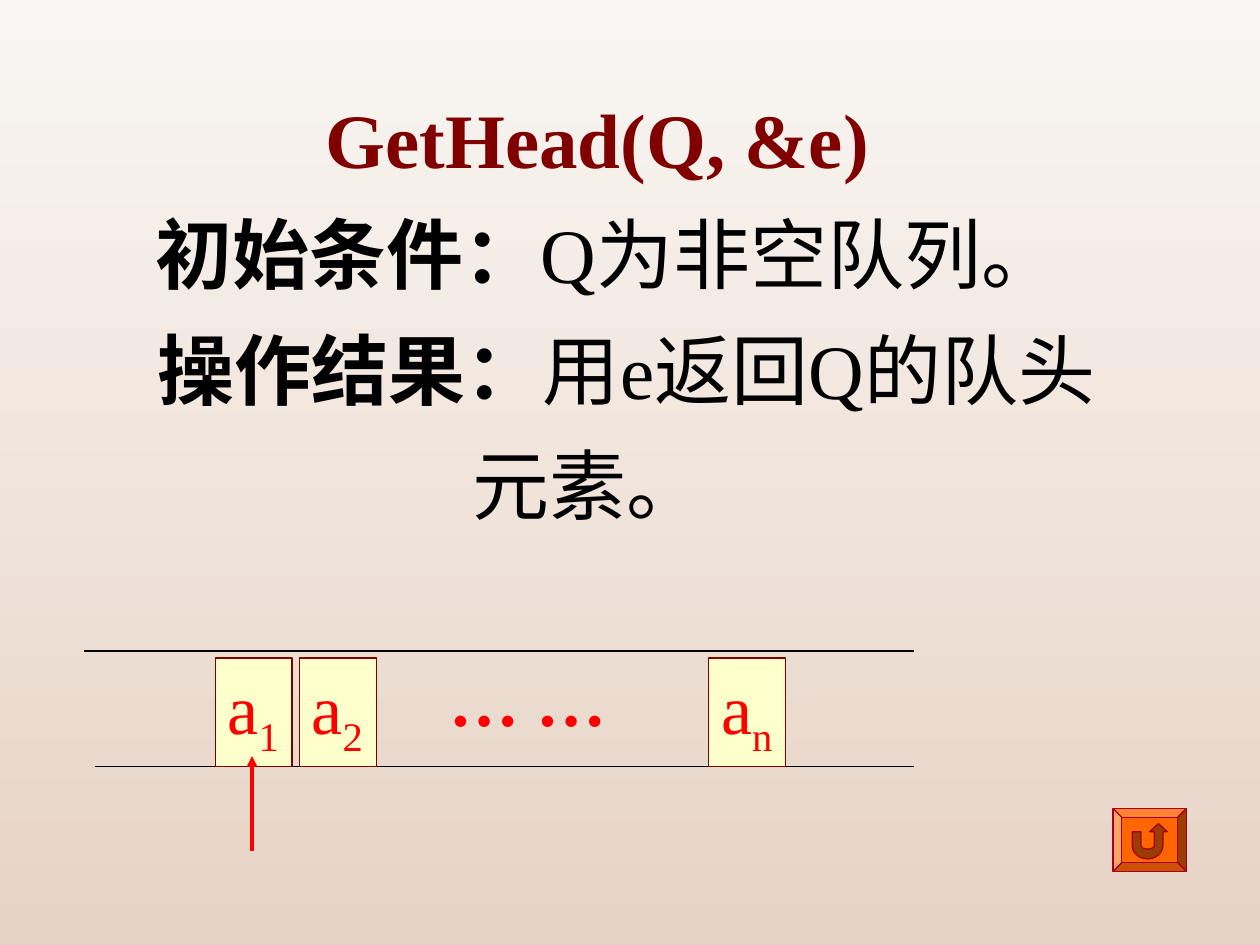
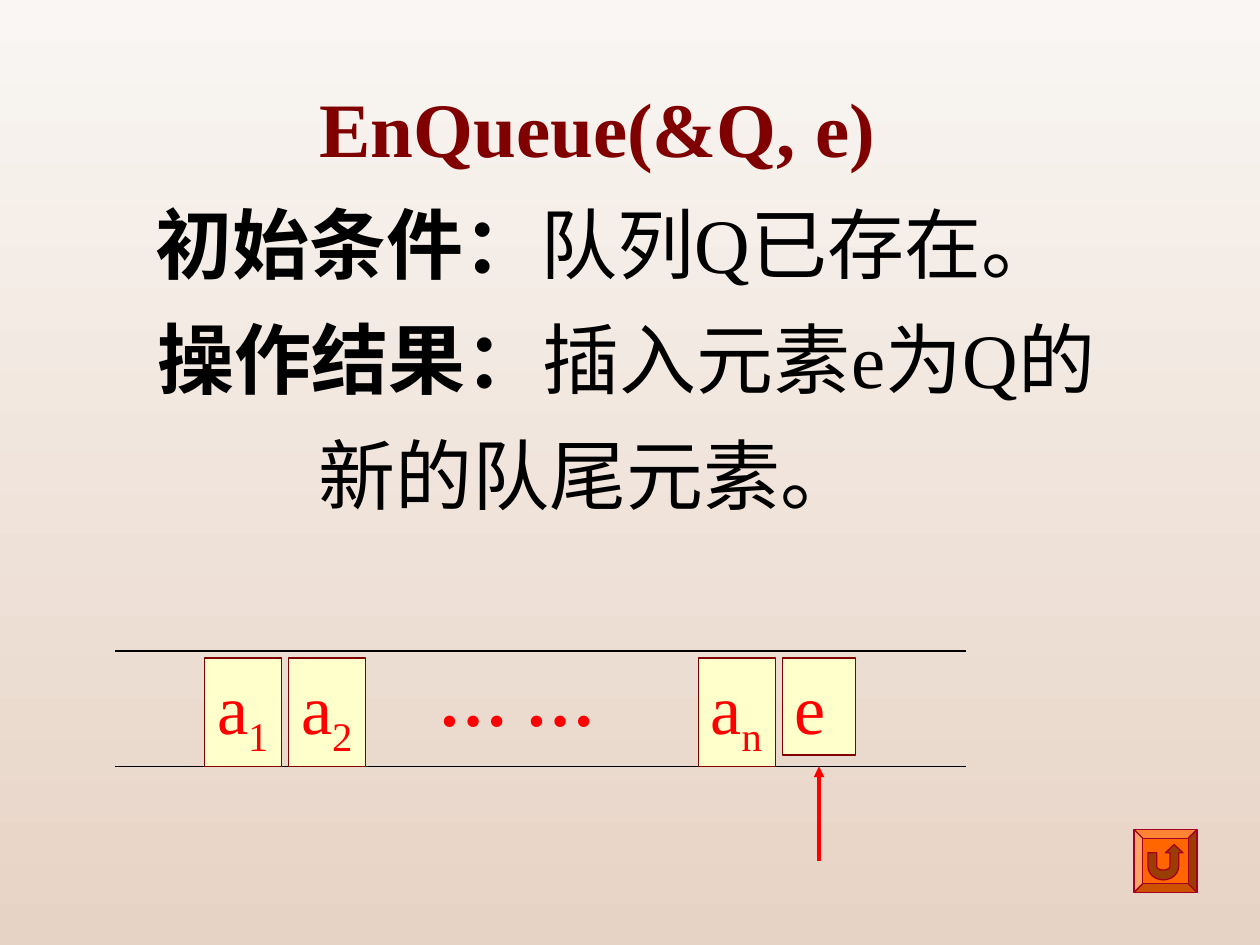
from math import cos, sin, pi
from lxml.etree import SubElement
from pptx import Presentation
from pptx.dml.color import RGBColor
from pptx.enum.shapes import MSO_CONNECTOR, MSO_SHAPE
from pptx.enum.text import MSO_ANCHOR, MSO_AUTO_SIZE, PP_ALIGN
from pptx.oxml.ns import qn
from pptx.util import Pt

# Content: lengths in points, spans of a line as (text, colour, bold)
SLIDES = [
    {
        "title_top": 126,
        "lines": [
            [("GetHead(Q, &e)", "maroon", True)],
            [("初始条件：", "black", True), ("Q为非空队列。", "black", False)],
            [("操作结果：", "black", True), ("用e返回Q的队头元素。", "black", False)],
        ],
        "tracks": [(48, 522), (54, 522)],
        "queue_left": 123,
        "new_element": None,
        "pointer": (144, 486, 432),
        "button": (636, 462, 42, 36),
    },
    {
        "title_top": 120,
        "lines": [
            [("EnQueue(&Q, e)", "maroon", True)],
            [("初始条件：", "black", True), ("队列Q已存在。", "black", False)],
            [("操作结果：", "black", True), ("插入元素e为Q的新的队尾元素。", "black", False)],
        ],
        "tracks": [(66, 552), (66, 552)],
        "queue_left": 117,
        "new_element": "e",
        "pointer": (468, 492, 438),
        "button": (648, 474, 36, 36),
    },
]

# Shared look
COLOURS = {
    "black": "000000", "maroon": "800000", "red": "FF0000", "cream": "FFFFCC",
    "orange": "FF6600", "crimson": "A50021", "brown": "993D00",
    "sky": "F9F6F3", "ground": "E7D3C5",
}
FONT = "Times New Roman"
FIRST_LINE_INDENTS = (11, 22, 44)
TRACK_TOPS = (372, 438)
CELL_TOP, CELL_WIDTH, CELL_HEIGHT, CELL_PITCH = 376, 44, 62, 48
LAST_CELL_OFFSET, DOTS_OFFSET = 282, 126.5


def colour(name):
    return RGBColor.from_string(COLOURS[name])


def add_span(para, text, size=40, color="red", bold=False, subscript=False):
    span = para.add_run()
    span.text = text
    span.font.name = FONT
    span.font.size = Pt(size)
    span.font.bold = bold
    span.font.color.rgb = colour(color)
    if subscript:
        span.font._element.set("baseline", "-25000")


def paint(shape, fill, line):
    shape.shadow.inherit = False
    shape.fill.solid()
    shape.fill.fore_color.rgb = colour(fill)
    shape.line.color.rgb = colour(line)
    shape.line.width = Pt(0.75)


def set_frame(frame, anchor=MSO_ANCHOR.TOP, wrap=False):
    frame.auto_size = MSO_AUTO_SIZE.NONE
    frame.word_wrap = wrap
    frame.vertical_anchor = anchor
    frame.margin_left = frame.margin_right = Pt(7.2)
    frame.margin_top = frame.margin_bottom = Pt(3.6)


def add_title(page, top, lines):
    title = page.shapes.title
    title.left, title.top, title.width, title.height = Pt(30), Pt(top), Pt(612), Pt(90)
    frame = title.text_frame
    set_frame(frame, MSO_ANCHOR.MIDDLE, wrap=True)
    for number, (spans, indent) in enumerate(zip(lines, FIRST_LINE_INDENTS)):
        para = frame.add_paragraph() if number else frame.paragraphs[0]
        para.alignment = PP_ALIGN.CENTER
        para.line_spacing = 1.25
        para.space_before = Pt(0)
        properties = para._p.get_or_add_pPr()
        properties.set("marL", "0")
        properties.set("indent", str(Pt(indent)))
        for text, color, bold in spans:
            add_span(para, text, size=44, color=color, bold=bold)


def add_line(page, start, end, color="black", width=0.75, arrow=False):
    line = page.shapes.add_connector(MSO_CONNECTOR.STRAIGHT, *map(Pt, start + end))
    line.line.color.rgb = colour(color)
    line.line.width = Pt(width)
    if arrow:
        SubElement(line.line._get_or_add_ln(), qn("a:tailEnd"), type="triangle")
    SubElement(line._element.spPr, qn("a:effectLst"))


def add_cell(page, left, letter, index="", width=CELL_WIDTH, height=CELL_HEIGHT):
    cell = page.shapes.add_shape(
        MSO_SHAPE.RECTANGLE, Pt(left), Pt(CELL_TOP), Pt(width), Pt(height))
    paint(cell, "cream", "maroon")
    set_frame(cell.text_frame)
    para = cell.text_frame.paragraphs[0]
    para.alignment = PP_ALIGN.LEFT
    add_span(para, letter)
    if index:
        add_span(para, index, subscript=True)


def add_dots(page, left):
    box = page.shapes.add_textbox(Pt(left), Pt(371.5), Pt(104.5), Pt(55.5))
    set_frame(box.text_frame)
    add_span(box.text_frame.paragraphs[0], "… …", bold=True)


def half_ellipse(radius_x, radius_y, clockwise):
    """Lower half of an ellipse around the bend of the return arrow."""
    angles = [pi * step / 12 for step in range(13)]
    if not clockwise:
        angles.reverse()
    return [(-1.2 + radius_x * cos(a), 3 + radius_y * sin(a)) for a in angles]


def add_return_button(page, left, top, width, height):
    button = page.shapes.add_shape(
        MSO_SHAPE.BEVEL, Pt(left), Pt(top), Pt(width), Pt(height))
    button.adjustments[0] = 5 / min(width, height)
    paint(button, "orange", "crimson")
    # Return arrow, drawn around the centre of the button
    head = [(2.6, -4.7), (0, -4.7), (5, -9.4), (10, -4.7), (7.6, -4.7)]
    outline = ([(-10, -4.7), (-5, -4.7)] + half_ellipse(3.8, 2.2, False)
               + head + half_ellipse(8.8, 7.8, True))
    centre_x, centre_y = left + width / 2, top + height / 2
    points = [(Pt(centre_x + x), Pt(centre_y + y)) for x, y in outline]
    builder = page.shapes.build_freeform(*points[0])
    builder.add_line_segments(points[1:], close=True)
    paint(builder.convert_to_shape(), "brown", "crimson")


def add_queue(page, content):
    for (left, right), top in zip(content["tracks"], TRACK_TOPS):
        add_line(page, (left, top), (right, top))
    start = content["queue_left"]
    for index, offset in (("1", 0), ("2", CELL_PITCH), ("n", LAST_CELL_OFFSET)):
        add_cell(page, start + offset, "a", index)
    x, tail, tip = content["pointer"]
    add_line(page, (x, tail), (x, tip), color="red", width=2, arrow=True)
    if content["new_element"]:
        add_cell(page, start + LAST_CELL_OFFSET + CELL_PITCH,
                 content["new_element"], width=42, height=55.5)
    add_dots(page, start + DOTS_OFFSET)


def main():
    deck = Presentation()
    deck.slide_width, deck.slide_height = Pt(720), Pt(540)

    # Shared background
    background = deck.slide_master.background.fill
    background.gradient()
    background.gradient_angle = 270
    for stop, name in zip(background.gradient_stops, ("sky", "ground")):
        stop.color.rgb = colour(name)

    for content in SLIDES:
        page = deck.slides.add_slide(deck.slide_layouts[5])
        add_title(page, content["title_top"], content["lines"])
        add_return_button(page, *content["button"])
        add_queue(page, content)
    deck.save("out.pptx")


if __name__ == "__main__":
    main()
